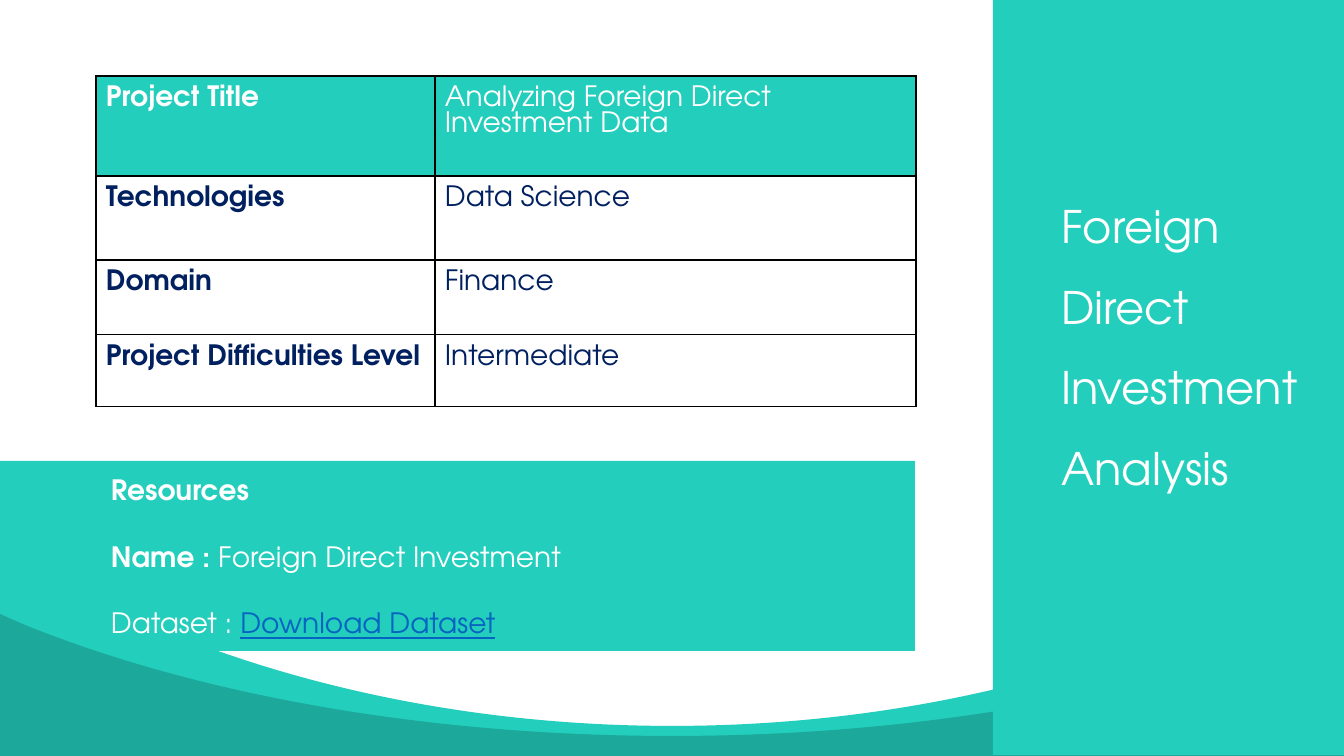
from dataclasses import dataclass
from lxml.etree import SubElement as Sub
from pptx import Presentation as Deck
from pptx.dml.color import RGBColor as Rgb
from pptx.enum.shapes import MSO_SHAPE as Shape
from pptx.enum.text import MSO_ANCHOR as Anchor, MSO_AUTO_SIZE as Fit, PP_ALIGN as Align
from pptx.oxml.ns import qn
from pptx.util import Pt


@dataclass(frozen=True)
class Theme:
    face: str = "TeX Gyre Adventor"
    teal: str = "23CEBC"
    deep: str = "1CA89B"
    navy: str = "002060"
    link: str = "0563C1"
    white: str = "FFFFFF"
    black: str = "000000"
    head: int = 32
    body: int = 20


LOOK = Theme()
SCALE = 914400 / 100.8
WIDE, HIGH = 1344, 756

FACTS = [
    ("Project Title", "Analyzing Foreign Direct Investment Data"),
    ("Technologies", "Data Science"),
    ("Domain", "Finance"),
    ("Project Difficulties Level", "Intermediate"),
]
COLS = [339, 481]
ROWS = [100, 84, 75, 72]

LINKS = [
    [("Resources", dict(bold=True))],
    [("Name : ", dict(bold=True)), ("Foreign Direct Investment", {})],
    [("Dataset : ", {}), ("Download Dataset", dict(color=LOOK.link, underline=True))],
]


def px(num):
    return round(num * SCALE)


def apply(item, **vals):
    for key, val in vals.items():
        setattr(item, key, val)


def pad(item, left, rest):
    apply(item, margin_left=px(left), margin_right=px(rest),
          margin_top=px(rest), margin_bottom=px(rest))


def write(para, text, size=LOOK.body, color=LOOK.white, **vals):
    run = para.add_run()
    run.text = text
    apply(run.font, name=LOOK.face, size=Pt(size), **vals)
    run.font.color.rgb = Rgb.from_string(color)


def paint(shape, color):
    shape.shadow.inherit = False
    shape.fill.solid()
    shape.fill.fore_color.rgb = Rgb.from_string(color)
    shape.line.fill.background()


def block(slide, box, color):
    shape = slide.shapes.add_shape(Shape.RECTANGLE, *map(px, box))
    paint(shape, color)
    return shape


def curve(steps):
    bend = steps[0].makeelement(qn("a:cubicBezTo"))
    steps[0].addprevious(bend)
    for step in steps:
        bend.append(step[0])
        step.getparent().remove(step)


def wave(slide, edge, knots, color):
    half = [(0, edge), *knots]
    rest = [(WIDE - x, y) for x, y in reversed(half[:-1])]
    path = half + rest + [(WIDE, HIGH), (0, HIGH)]
    form = slide.shapes.build_freeform(*map(px, path[0]), scale=1.0)
    form.add_line_segments([(px(x), px(y)) for x, y in path[1:]], close=True)
    shape = form.convert_to_shape()
    steps = list(shape._element.iter(qn("a:lnTo")))
    curve(steps[1:4])
    curve(steps[4:7])
    paint(shape, color)


def frame(cell):
    props = cell._tc.get_or_add_tcPr()
    for side in ("a:lnL", "a:lnR", "a:lnT", "a:lnB"):
        line = Sub(props, qn(side), w=str(Pt(1)))
        Sub(Sub(line, qn("a:solidFill")), qn("a:srgbClr"), val=LOOK.black)


def grid(slide, left, top):
    box = (left, top, sum(COLS), sum(ROWS))
    table = slide.shapes.add_table(len(ROWS), len(COLS), *map(px, box)).table
    apply(table, first_row=False, horz_banding=False)
    for col, width in zip(table.columns, COLS):
        col.width = px(width)
    for row, height in zip(table.rows, ROWS):
        row.height = px(height)
    for i, fact in enumerate(FACTS):
        back, ink = (LOOK.white, LOOK.navy) if i else (LOOK.teal, LOOK.white)
        for j, text in enumerate(fact):
            cell = table.cell(i, j)
            frame(cell)
            cell.fill.solid()
            cell.fill.fore_color.rgb = Rgb.from_string(back)
            pad(cell, 10, 10)
            write(cell.text_frame.paragraphs[0], text, color=ink, bold=j == 0)


def lines(body, rows, gap=0, **vals):
    for i, runs in enumerate(rows):
        para = body.add_paragraph() if i else body.paragraphs[0]
        apply(para, alignment=Align.LEFT, **vals)
        if i and gap:
            para.space_before = Pt(gap)
        for text, look in runs:
            write(para, text, **look)


def links(slide):
    body = block(slide, (0, 461, 915, 190), LOOK.teal).text_frame
    apply(body, word_wrap=True, vertical_anchor=Anchor.MIDDLE)
    pad(body, 111, 10)
    lines(body, LINKS, gap=23.5)


def title(slide):
    head = slide.shapes.title
    slide.shapes._spTree.append(head._element)
    apply(head, left=px(1061), top=px(172), width=px(271), height=px(378))
    body = head.text_frame
    apply(body, word_wrap=True, auto_size=Fit.NONE, vertical_anchor=Anchor.TOP)
    pad(body, 0, 0)
    look = dict(size=LOOK.head)
    rows = [[(text, look)] for text in ("Foreign Direct Investment", "Analysis")]
    lines(body, rows, line_spacing=1.5, space_before=Pt(0))


def main():
    deck = Deck()
    apply(deck, slide_width=px(WIDE), slide_height=px(HIGH))
    slide = deck.slides.add_slide(deck.slide_layouts[5])
    wave(slide, 546, [(25, 562), (196, 663), (423, 726), (672, 726)], LOOK.teal)
    grid(slide, 96, 76)
    links(slide)
    wave(slide, 614, [(25, 625), (196, 694), (423, 736), (672, 736)], LOOK.deep)
    block(slide, (993, 0, 351, 755), LOOK.teal)
    title(slide)
    deck.save("out.pptx")


if __name__ == "__main__":
    main()
